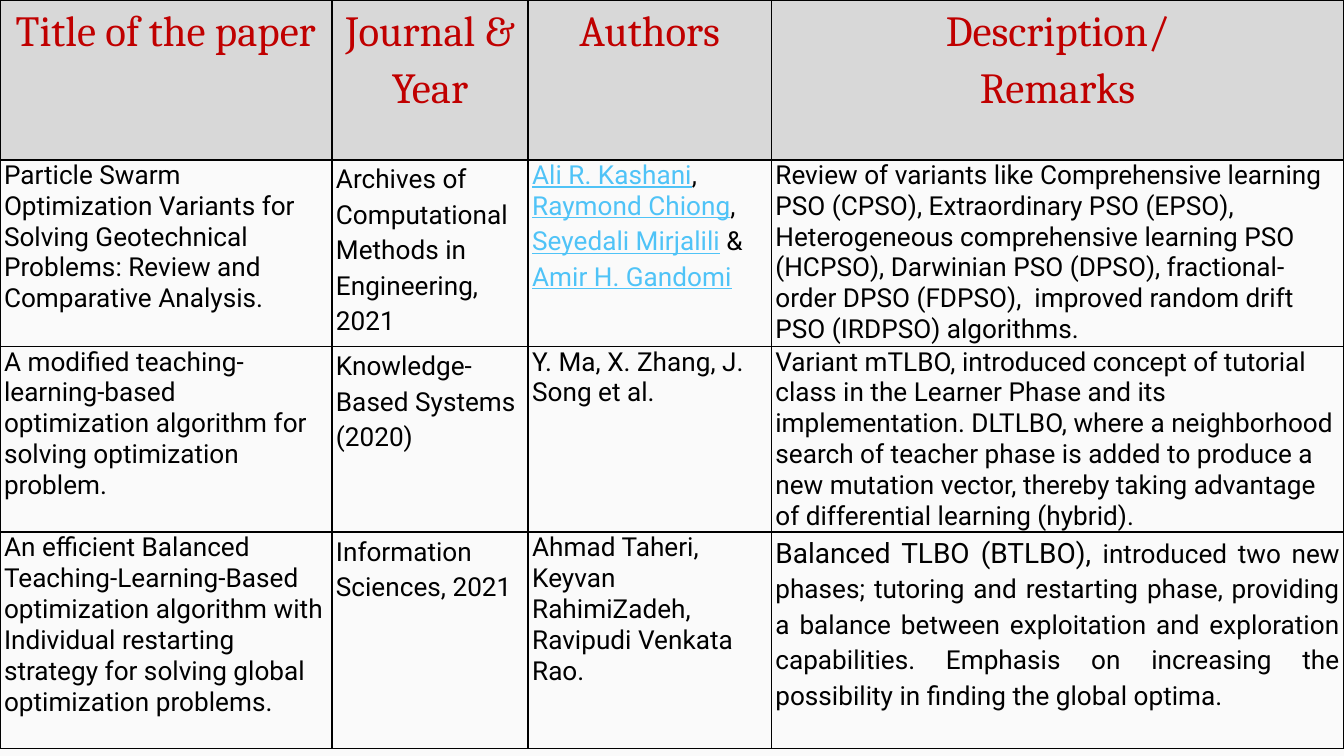
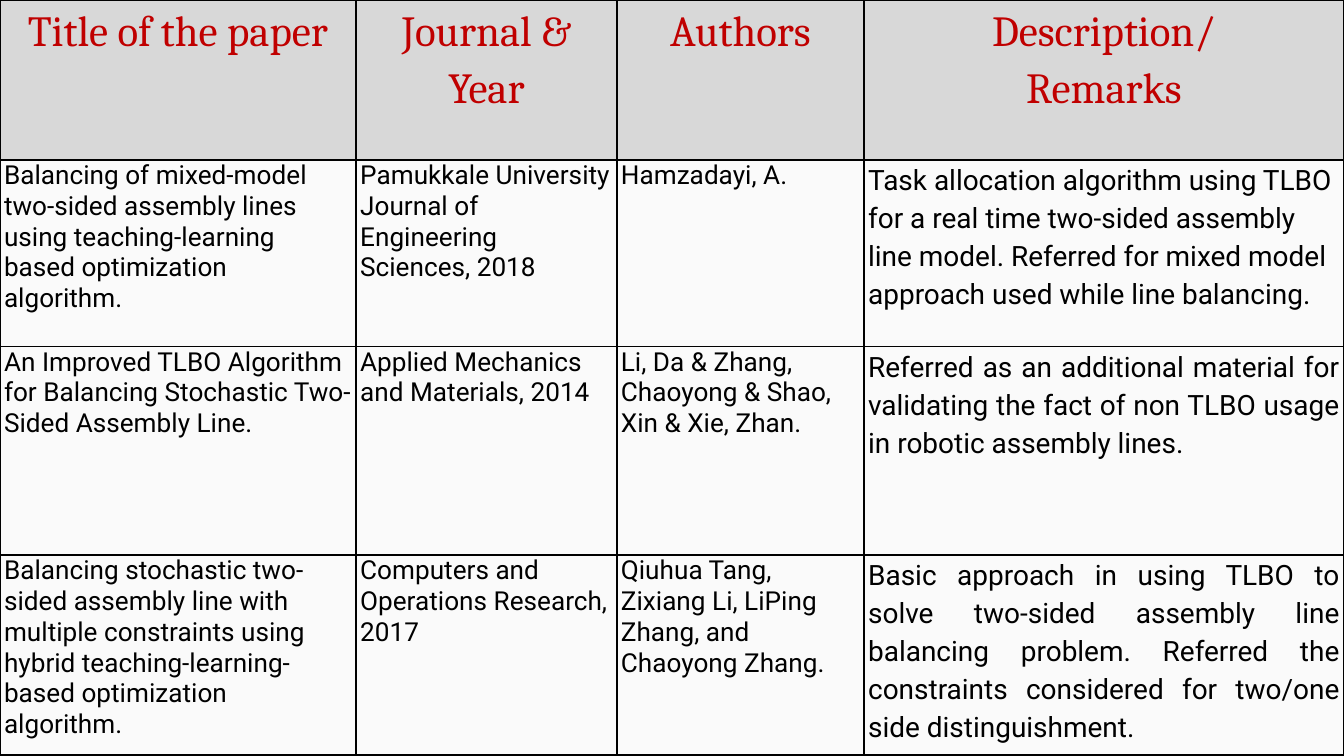
import dataclasses

import pptx
import pptx.dml.color
import pptx.enum.shapes
import pptx.enum.text
import pptx.oxml
import pptx.oxml.ns
import pptx.util

ALIGN = pptx.enum.text.PP_ALIGN


@dataclasses.dataclass(frozen=True)
class Theme:
    backdrop: str = "4285F4"
    panel: str = "FAFAFA"
    header_fill: str = "D8D8D8"
    header_ink: str = "C00000"
    ink: str = "000000"
    link: str = "4FC3F7"
    border: str = "000000"
    border_width: float = 1
    header_font: str = "Cambria"
    body_font: str = "Roboto"
    header_size: int = 23
    body_size: int = 14
    large_size: int = 15
    loose: float = 1.15


THEME = Theme()
GRID_COLUMNS, GRID_ROWS = 100, 56.25


def rgb(value):
    return pptx.dml.color.RGBColor.from_string(value)


def block(*runs, **look):
    return runs, look


def linked(name):
    return name, {"color": THEME.link, "underline": True}


def loose(*runs, **look):
    return block(*runs, spacing=THEME.loose, **look)


def large(text, **look):
    return loose(text, size=THEME.large_size, **look)


def write(frame, text, **look):
    blocks = text if isinstance(text, list) else [block(text)]
    for index, (runs, block_look) in enumerate(blocks):
        paragraph = frame.add_paragraph() if index else frame.paragraphs[0]
        merged = {**look, **block_look}
        paragraph.alignment = merged.get("align")
        paragraph.line_spacing = merged.get("spacing")
        for piece in runs:
            words, own_look = (piece, {}) if isinstance(piece, str) else piece
            style = {**merged, **own_look}
            run = paragraph.add_run()
            run.text = words
            run.font.name = style["font"]
            run.font.size = pptx.util.Pt(style["size"])
            run.font.color.rgb = rgb(style["color"])
            run.font.underline = style.get("underline")


class Deck:
    def __init__(self, theme):
        self.theme = theme
        self.show = pptx.Presentation()
        self.show.slide_width = pptx.util.Inches(10)
        self.show.slide_height = pptx.util.Inches(5.625)
        self.slide = None

    def x(self, columns):
        return round(self.show.slide_width * columns / GRID_COLUMNS)

    def y(self, rows):
        return round(self.show.slide_height * rows / GRID_ROWS)

    def new_slide(self):
        self.slide = self.show.slides.add_slide(self.show.slide_layouts[6])
        fill = self.slide.background.fill
        fill.solid()
        fill.fore_color.rgb = rgb(self.theme.backdrop)
        self.panel(top=7.2)

    def panel(self, top):
        panel = self.slide.shapes.add_shape(
            pptx.enum.shapes.MSO_SHAPE.RECTANGLE,
            0, self.y(top), self.x(GRID_COLUMNS), self.y(GRID_ROWS - top))
        panel.shadow.inherit = False
        panel.fill.solid()
        panel.fill.fore_color.rgb = rgb(self.theme.panel)
        panel.line.fill.background()

    def borders(self, cell):
        properties = cell._tc.get_or_add_tcPr()
        width = pptx.util.Pt(self.theme.border_width)
        for index, side in enumerate(("lnL", "lnR", "lnT", "lnB")):
            properties.insert(index, pptx.oxml.parse_xml(
                f'<a:{side} {pptx.oxml.ns.nsdecls("a")} w="{width}"><a:solidFill>'
                f'<a:srgbClr val="{self.theme.border}"/></a:solidFill></a:{side}>'))

    def cell(self, cell, text, header):
        theme = self.theme
        cell.margin_left = cell.margin_right = pptx.util.Inches(0.03)
        cell.margin_top = cell.margin_bottom = 0
        if header:
            cell.fill.solid()
            cell.fill.fore_color.rgb = rgb(theme.header_fill)
            write(cell.text_frame, text, font=theme.header_font, size=theme.header_size,
                  color=theme.header_ink, align=ALIGN.CENTER, spacing=theme.loose)
        else:
            cell.fill.background()
            write(cell.text_frame, text, font=theme.body_font, size=theme.body_size,
                  color=theme.ink)
        self.borders(cell)

    def table(self, widths, heights, rows):
        table = self.slide.shapes.add_table(
            len(rows), len(widths), 0, 0, self.x(sum(widths)), self.y(sum(heights))).table
        table.first_row = table.horz_banding = False
        for column, width in zip(table.columns, widths):
            column.width = self.x(width)
        for row, height in zip(table.rows, heights):
            row.height = self.y(height)
        for row_index, row in enumerate(rows):
            for column_index, text in enumerate(row):
                self.cell(table.cell(row_index, column_index), text, header=row_index == 0)


HEADINGS = ["Title of the paper", "Journal & Year", "Authors",
            [block("Description/"), block("Remarks")]]

VARIANT_PAPERS = [
    ["Particle Swarm Optimization Variants for Solving Geotechnical Problems: "
     "Review and Comparative Analysis.",
     [loose("Archives of Computational Methods in Engineering, 2021")],
     [block(linked("Ali R. Kashani"), ", ", linked("Raymond Chiong"), ","),
      loose(linked("Seyedali Mirjalili"), " &"),
      loose(linked("Amir H. Gandomi"))],
     "Review of variants like Comprehensive learning PSO (CPSO), Extraordinary PSO (EPSO), "
     "Heterogeneous comprehensive learning PSO (HCPSO), Darwinian PSO (DPSO), "
     "fractional-order DPSO (FDPSO),  improved random drift PSO (IRDPSO) algorithms."],
    ["A modified teaching-learning-based optimization algorithm for solving "
     "optimization problem.",
     [loose("Knowledge-Based Systems (2020)")],
     "Y. Ma, X. Zhang, J. Song et al.",
     "Variant mTLBO, introduced concept of tutorial class in the Learner Phase and its "
     "implementation. DLTLBO, where a neighborhood search of teacher phase is added to "
     "produce a new mutation vector, thereby taking advantage of differential learning "
     "(hybrid)."],
    ["An efficient Balanced Teaching-Learning-Based optimization algorithm with Individual "
     "restarting strategy for solving global optimization problems.",
     [loose("Information Sciences, 2021")],
     "Ahmad Taheri, Keyvan RahimiZadeh, Ravipudi Venkata Rao.",
     [loose(("Balanced TLBO (BTLBO), ", {"size": THEME.large_size}),
            "introduced two new phases; tutoring and restarting phase, providing a balance "
            "between exploitation and exploration capabilities. Emphasis on increasing the "
            "possibility in finding the global optima.", align=ALIGN.JUSTIFY)]],
]

ASSEMBLY_PAPERS = [
    ["Balancing of mixed-model two-sided assembly lines using teaching-learning based "
     "optimization algorithm.",
     "Pamukkale University Journal of Engineering Sciences, 2018",
     "Hamzadayi, A.",
     [large("Task allocation algorithm using TLBO for a real time two-sided assembly line "
            "model. Referred for mixed model approach used while line balancing.")]],
    ["An Improved TLBO Algorithm for Balancing Stochastic Two-Sided Assembly Line.",
     "Applied Mechanics and Materials, 2014",
     "Li, Da & Zhang, Chaoyong & Shao, Xin & Xie, Zhan.",
     [large("Referred as an additional material for validating the fact of non TLBO usage "
            "in robotic assembly lines.", align=ALIGN.JUSTIFY)]],
    ["Balancing stochastic two-sided assembly line with multiple constraints using hybrid "
     "teaching-learning-based optimization algorithm.",
     "Computers and Operations Research, 2017",
     "Qiuhua Tang, Zixiang Li, LiPing Zhang, and Chaoyong Zhang.",
     [large("Basic approach in using TLBO to solve two-sided assembly line balancing "
            "problem. Referred the constraints considered for two/one side "
            "distinguishment.", align=ALIGN.JUSTIFY)]],
]

SURVEYS = [
    ([24.7, 14.6, 18.1, 42.6], [11.9, 13.9, 12.5, 16.1], VARIANT_PAPERS),
    ([26.5, 19.4, 18.4, 35.7], [11.9, 13.9, 15.5, 14.9], ASSEMBLY_PAPERS),
]


def main():
    deck = Deck(THEME)
    for widths, heights, papers in SURVEYS:
        deck.new_slide()
        deck.table(widths, heights, [HEADINGS, *papers])
    deck.show.save("out.pptx")


if __name__ == "__main__":
    main()
